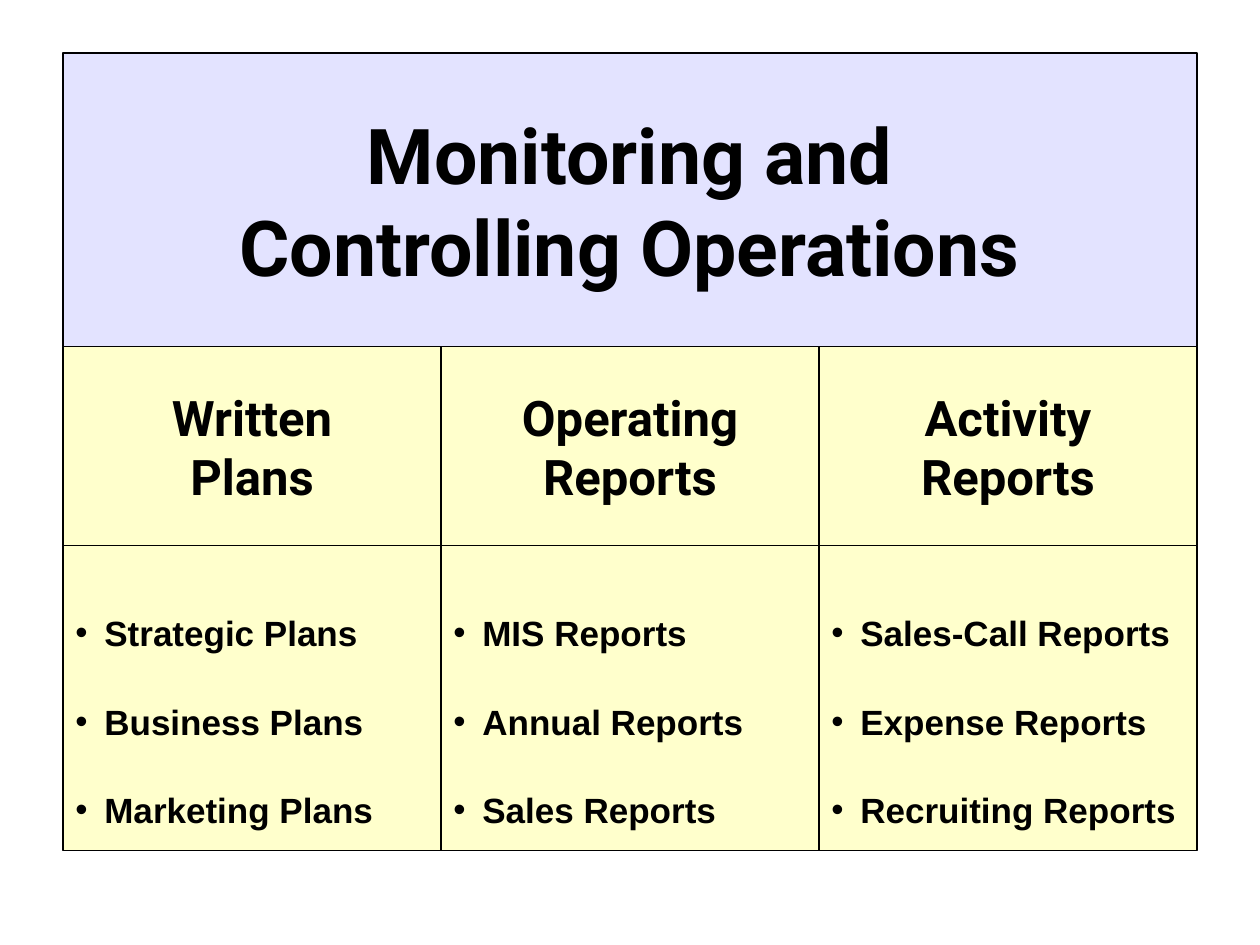
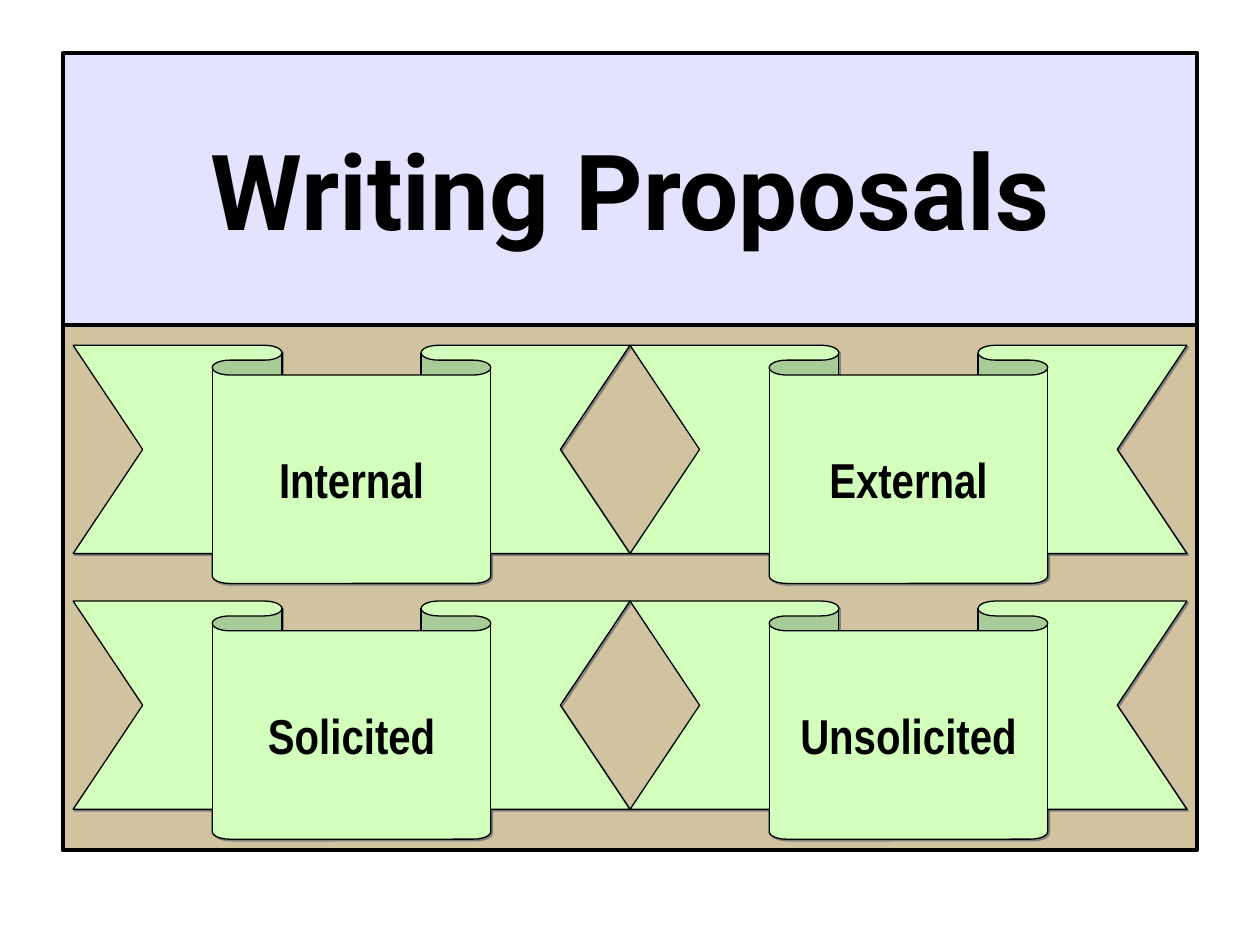
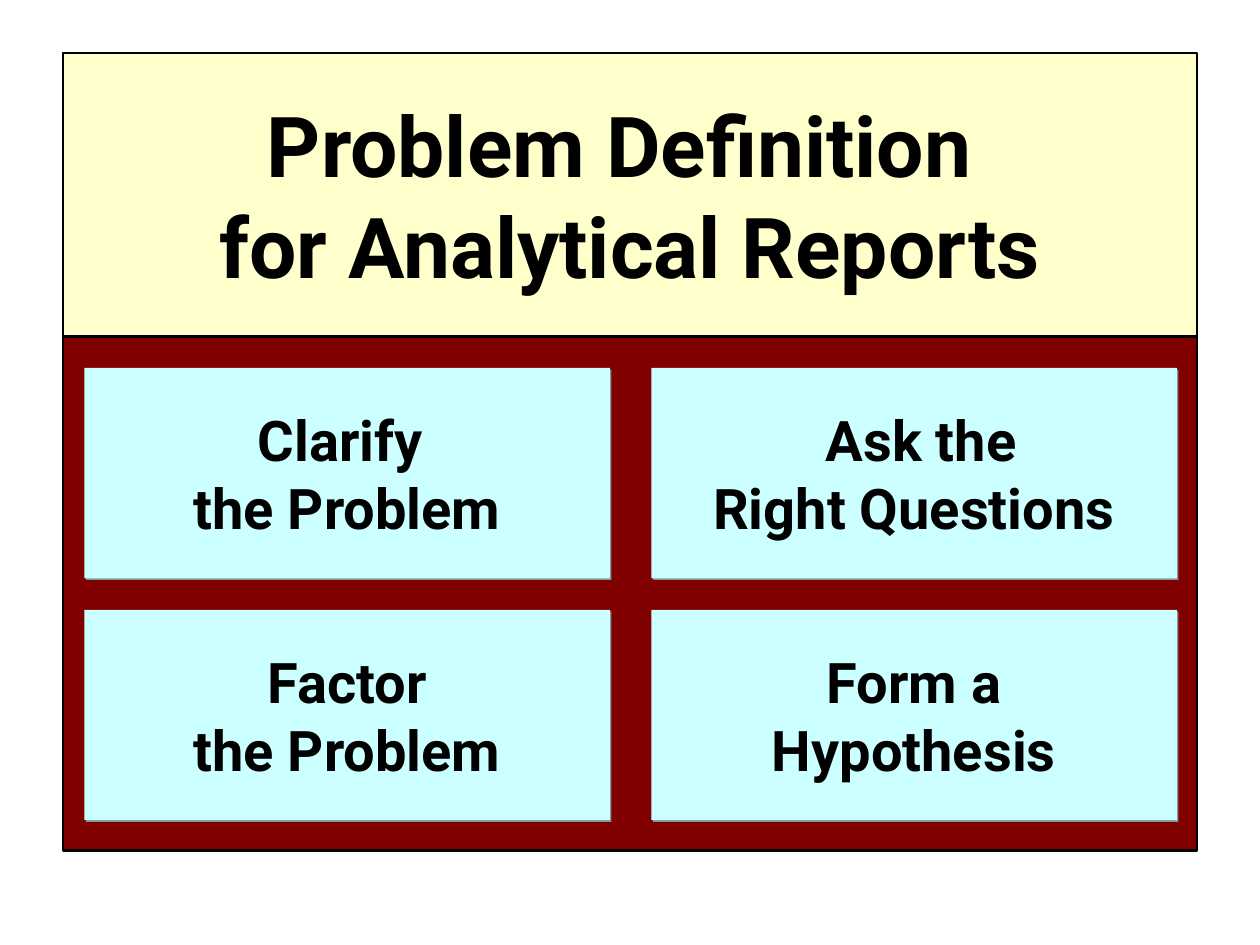
from dataclasses import dataclass

from lxml.etree import SubElement
from pptx import Presentation
from pptx.dml.color import RGBColor
from pptx.enum.shapes import MSO_SHAPE
from pptx.enum.text import MSO_ANCHOR, PP_ALIGN
from pptx.oxml.ns import qn
from pptx.util import Inches, Pt


@dataclass(frozen=True)
class Theme:
    ink: str = "000000"
    lavender: str = "E3E3FF"
    cream: str = "FFFFCC"
    tan: str = "D1C39F"
    green: str = "D3FFBD"
    maroon: str = "800000"
    aqua: str = "CCFFFF"
    ribbon_shadow: str = "808080"
    card_shadow: str = "7A9999"
    font: str = "Roboto"
    list_font: str = "Arial"
    ribbon_font: str = "Arial Narrow"
    head_size: int = 28
    list_size: int = 20
    card_size: int = 32


T = Theme()
LEFT, TOP, WIDTH, BOTTOM = 0.5, 0.42, 9, 6.75


def add_box(s, box, fill, line=None, kind=MSO_SHAPE.RECTANGLE):
    sp = s.shapes.add_shape(kind, *(Inches(v) for v in box))
    sp.shadow.inherit = False
    sp.fill.solid()
    sp.fill.fore_color.rgb = RGBColor.from_string(fill)
    if line is None:
        sp.line.fill.background()
    else:
        sp.line.color.rgb = RGBColor.from_string(T.ink)
        sp.line.width = Pt(line)
    return sp


def set_text(sp, text, size, font=T.font, align=PP_ALIGN.CENTER):
    tf = sp.text_frame
    tf.word_wrap = True
    tf.vertical_anchor = MSO_ANCHOR.MIDDLE
    tf.text = text
    for p in tf.paragraphs:
        p.alignment = align
        for r in p.runs:
            r.font.name = font
            r.font.size = Pt(size)
            r.font.bold = True
            r.font.color.rgb = RGBColor.from_string(T.ink)


def add_shadow(sp, color):
    effects = sp._element.spPr.find(qn("a:effectLst"))
    shadow = SubElement(effects, qn("a:outerShdw"), dist=str(Pt(1.4)),
                        dir="2700000", algn="ctr", rotWithShape="0")
    SubElement(shadow, qn("a:srgbClr"), val=color)


def add_bullet(p):
    pPr = p._p.get_or_add_pPr()
    pPr.set("marL", str(Inches(0.23)))
    pPr.set("indent", str(-Inches(0.23)))
    SubElement(pPr, qn("a:buFont"), typeface=T.list_font)
    SubElement(pPr, qn("a:buChar"), char="•")


def add_title(s, text, height, fill, line, size):
    sp = add_box(s, (LEFT, TOP, WIDTH, height), fill, line)
    set_text(sp, text, size)


def grid_cells(box, gap_x, gap_y, cell_w, cell_h, cols=2):
    x, y = box[:2]
    return lambda i: (x + i % cols * (cell_w + gap_x),
                      y + i // cols * (cell_h + gap_y), cell_w, cell_h)


def add_column(s, box, heading, items, head_h=1.58):
    x, y, w, h = box
    head = add_box(s, (x, y, w, head_h), T.cream, 0.75)
    set_text(head, heading, T.head_size)
    body = add_box(s, (x, y + head_h, w, h - head_h), T.cream, 0.75)
    set_text(body, "\n".join(items), T.list_size, T.list_font, PP_ALIGN.LEFT)
    for p in body.text_frame.paragraphs:
        p.line_spacing = 2.1
        add_bullet(p)


def add_ribbons(s, box, labels):
    x, y, w, h = box
    add_box(s, box, T.tan, 2.25)
    cell = grid_cells((x + 0.08, y + 0.16), 0, 0.14, 4.42, 1.89)
    for i, label in enumerate(labels):
        sp = add_box(s, cell(i), T.green, 0.75, MSO_SHAPE.DOWN_RIBBON)
        sp.adjustments[0] = 0.125
        sp.adjustments[1] = 0.5
        add_shadow(sp, T.ribbon_shadow)
        set_text(sp, label, T.head_size, T.ribbon_font)


def add_cards(s, box, labels):
    x, y, w, h = box
    add_box(s, box, T.maroon, 1.5)
    cell = grid_cells((x + 0.17, y + 0.25), 0.33, 0.25, 4.17, 1.67)
    for i, label in enumerate(labels):
        sp = add_box(s, cell(i), T.aqua)
        add_shadow(sp, T.card_shadow)
        set_text(sp, label, T.card_size)


def monitoring_slide(s):
    title_h = 2.33
    add_title(s, "Monitoring and\vControlling Operations", title_h,
              T.lavender, 0.75, 44)
    columns = {
        "Written\nPlans":
            ("Strategic Plans", "Business Plans", "Marketing Plans"),
        "Operating\nReports":
            ("MIS Reports", "Annual Reports", "Sales Reports"),
        "Activity\nReports":
            ("Sales-Call Reports", "Expense Reports", "Recruiting Reports"),
    }
    y, w = TOP + title_h, WIDTH / len(columns)
    for i, (heading, items) in enumerate(columns.items()):
        add_column(s, (LEFT + i * w, y, w, BOTTOM - y), heading, items)


def panel_slide(s, title, title_h, fill, line, size, add_panel, labels):
    y = TOP + title_h
    add_title(s, title, title_h, fill, line, size)
    add_panel(s, (LEFT, y, WIDTH, BOTTOM - y), labels)


def main():
    prs = Presentation()
    prs.slide_width, prs.slide_height = Inches(10), Inches(7.5)
    blank = prs.slide_layouts[6]
    monitoring_slide(prs.slides.add_slide(blank))
    panel_slide(prs.slides.add_slide(blank), "Writing Proposals", 2.16,
                T.lavender, 2.25, 60, add_ribbons,
                ("Internal", "External", "Solicited", "Unsolicited"))
    panel_slide(prs.slides.add_slide(blank),
                "Problem Definition \vfor Analytical Reports", 2.25,
                T.cream, 1.5, 48, add_cards,
                ("Clarify \nthe Problem", " Ask the\nRight Questions",
                 "Factor\nthe Problem", "Form a\nHypothesis"))
    prs.save("out.pptx")


if __name__ == "__main__":
    main()
